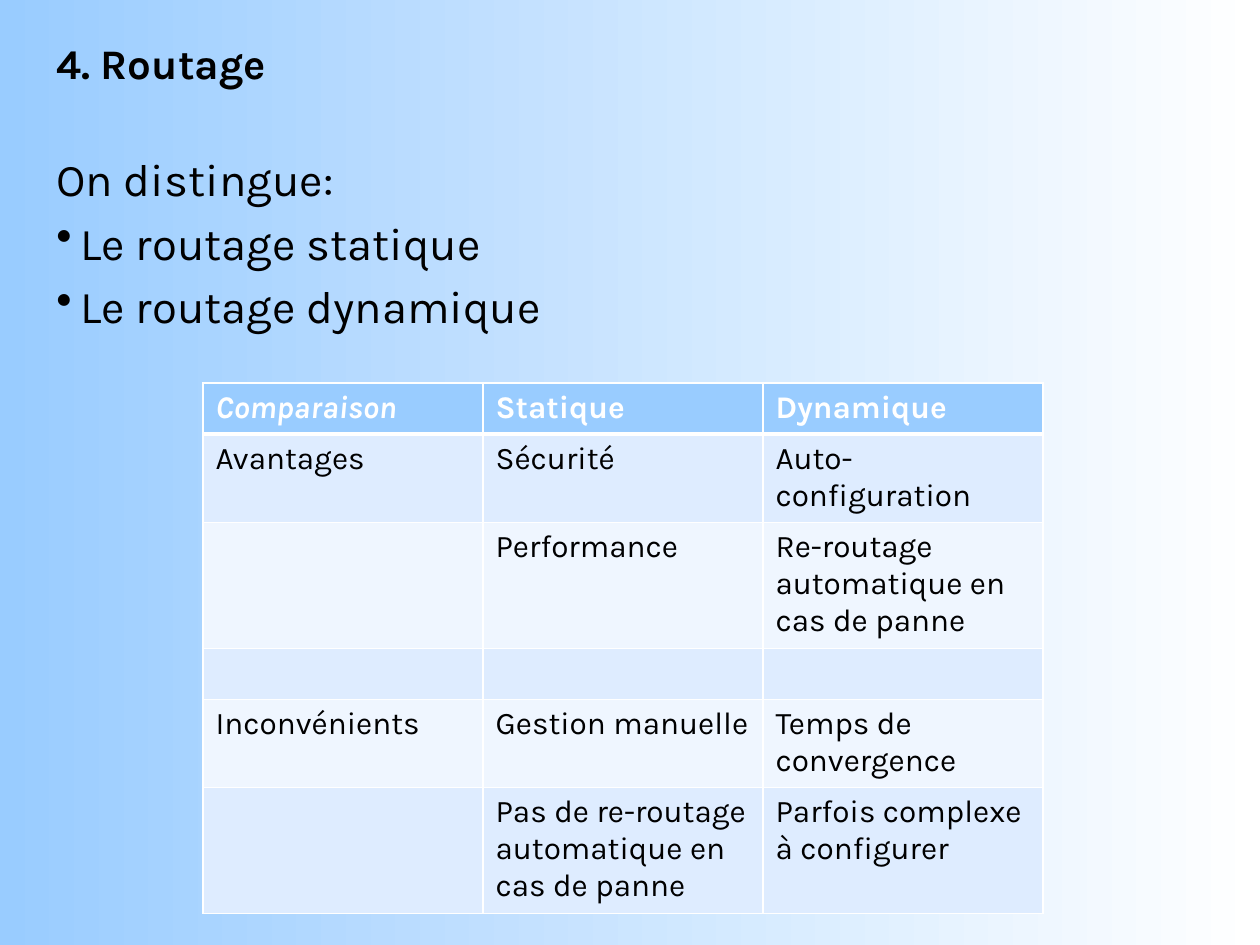
from dataclasses import dataclass

from lxml import etree
from pptx import Presentation
from pptx import util as u
from pptx.dml.color import RGBColor
from pptx.enum import text
from pptx.oxml import ns


@dataclass(frozen=True)
class Theme:
    font: str = "Karla"
    ink: str = "000000"
    white: str = "FFFFFF"
    accent: str = "99CCFF"
    bands: tuple = ("DEECFF", "EFF6FF")
    title_size: int = 24
    body_size: int = 26
    table_size: int = 18
    thin: int = 1
    thick: int = 3


THEME = Theme()
PIXEL = u.Inches(1) // 126

TABLE_ROWS = [
    ("Comparaison", "Statique", "Dynamique"),
    ("Avantages", "Sécurité", "Auto-configuration"),
    ("", "Performance", "Re-routage automatique en cas de panne"),
    ("", "", ""),
    ("Inconvénients", "Gestion manuelle", "Temps de convergence"),
    ("", "Pas de re-routage automatique en cas de panne",
     "Parfois complexe à configurer"),
]
ROW_HEIGHTS = (51, 88, 126) * 2
COLUMN_WIDTH = 280


def px(*lengths):
    return [u.Emu(length * PIXEL) for length in lengths]


def add_child(parent, tag, **attributes):
    return etree.SubElement(parent, ns.qn(tag), attributes)


def style(paragraph, size, color, bold=False, italic=False):
    font = paragraph.font
    font.name, font.size = THEME.font, u.Pt(size)
    font.bold, font.italic = bold, italic
    font.color.rgb = RGBColor.from_string(color)


def set_background(slide):
    fill = slide.background.fill
    fill.gradient()
    fill.gradient_angle = 0
    for stop, color in zip(fill.gradient_stops, (THEME.accent, THEME.white)):
        stop.color.rgb = RGBColor.from_string(color)


def add_text(slide, bounds, lines, size, bold=False,
             anchor=text.MSO_ANCHOR.TOP):
    frame = slide.shapes.add_textbox(*px(*bounds)).text_frame
    frame.word_wrap = True
    frame.vertical_anchor = anchor
    frame.text = "\n".join(lines)
    for paragraph in frame.paragraphs:
        style(paragraph, size, THEME.ink, bold)
    return frame.paragraphs


def space_before(paragraph, percent):
    # Spacing relative to the type size
    paragraph.space_before = u.Pt(0)
    spacing = paragraph._p.pPr.find(ns.qn("a:spcBef"))
    spacing.clear()
    add_child(spacing, "a:spcPct", val=str(percent * 1000))


def add_bullet(paragraph, indent):
    properties = paragraph._p.pPr
    properties.set("marL", str(indent * PIXEL))
    properties.set("indent", str(-indent * PIXEL))
    bullet = etree.Element(ns.qn("a:buChar"), char="•")
    properties.find(ns.qn("a:defRPr")).addprevious(bullet)


def set_borders(cell, bottom):
    properties = cell._tc.get_or_add_tcPr()
    widths = dict.fromkeys(("a:lnL", "a:lnR", "a:lnT"), THEME.thin)
    widths["a:lnB"] = bottom
    for position, (tag, width) in enumerate(widths.items()):
        line = etree.Element(ns.qn(tag), w=str(u.Pt(width)))
        add_child(add_child(line, "a:solidFill"), "a:srgbClr", val=THEME.white)
        properties.insert(position, line)


def fill_cell(cell, words, row, column):
    header = row == 0
    cell.text = words
    style(cell.text_frame.paragraphs[0], THEME.table_size,
          THEME.white if header else THEME.ink,
          bold=header, italic=header and column == 0)
    color = THEME.accent if header else THEME.bands[(row - 1) % 2]
    cell.fill.solid()
    cell.fill.fore_color.rgb = RGBColor.from_string(color)
    set_borders(cell, THEME.thick if header else THEME.thin)


def add_comparison(slide, left, top):
    columns = len(TABLE_ROWS[0])
    bounds = px(left, top, COLUMN_WIDTH * columns, sum(ROW_HEIGHTS))
    table = slide.shapes.add_table(len(TABLE_ROWS), columns, *bounds).table
    for column in table.columns:
        column.width = px(COLUMN_WIDTH)[0]
    for row, (words, height) in enumerate(zip(TABLE_ROWS, ROW_HEIGHTS)):
        table.rows[row].height = px(height)[0]
        for column, entry in enumerate(words):
            fill_cell(table.cell(row, column), entry, row, column)


def main():
    deck = Presentation()
    deck.slide_width, deck.slide_height = px(1260, 945)
    slide = deck.slides.add_slide(deck.slide_layouts[6])
    set_background(slide)

    # Title
    add_text(slide, (44, 0, 1176, 126), ["4. Routage"], THEME.title_size,
             bold=True, anchor=text.MSO_ANCHOR.MIDDLE)

    # Introduction and its bulleted list
    lines = ["On distingue:", "Le routage statique", "Le routage dynamique"]
    intro = add_text(slide, (44, 145, 1176, 777), lines, THEME.body_size)
    for paragraph in intro:
        space_before(paragraph, 20)
    for paragraph in intro[1:]:
        add_bullet(paragraph, indent=24)

    # Comparison table
    add_comparison(slide, 203, 383)

    deck.save("out.pptx")


main()
